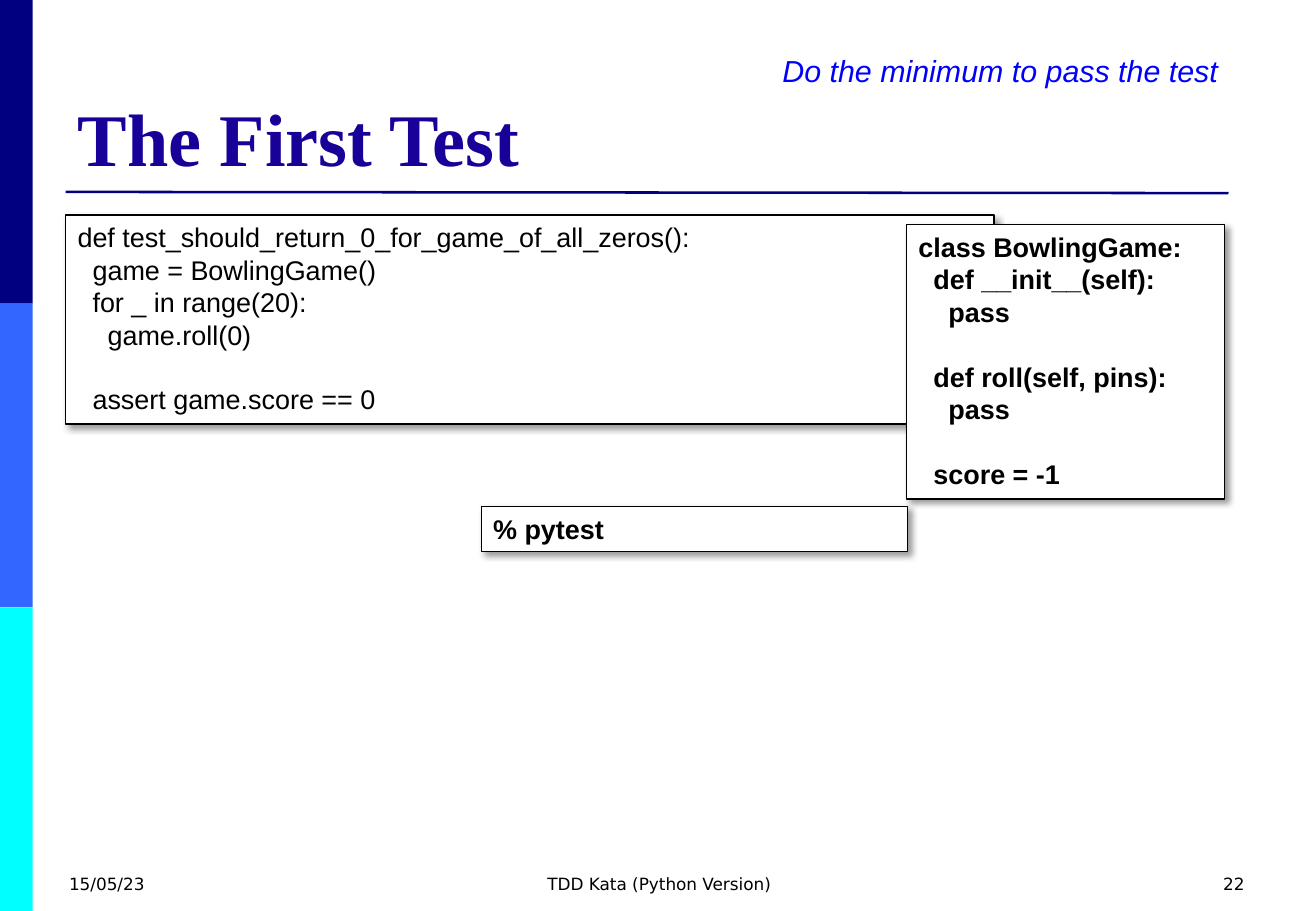
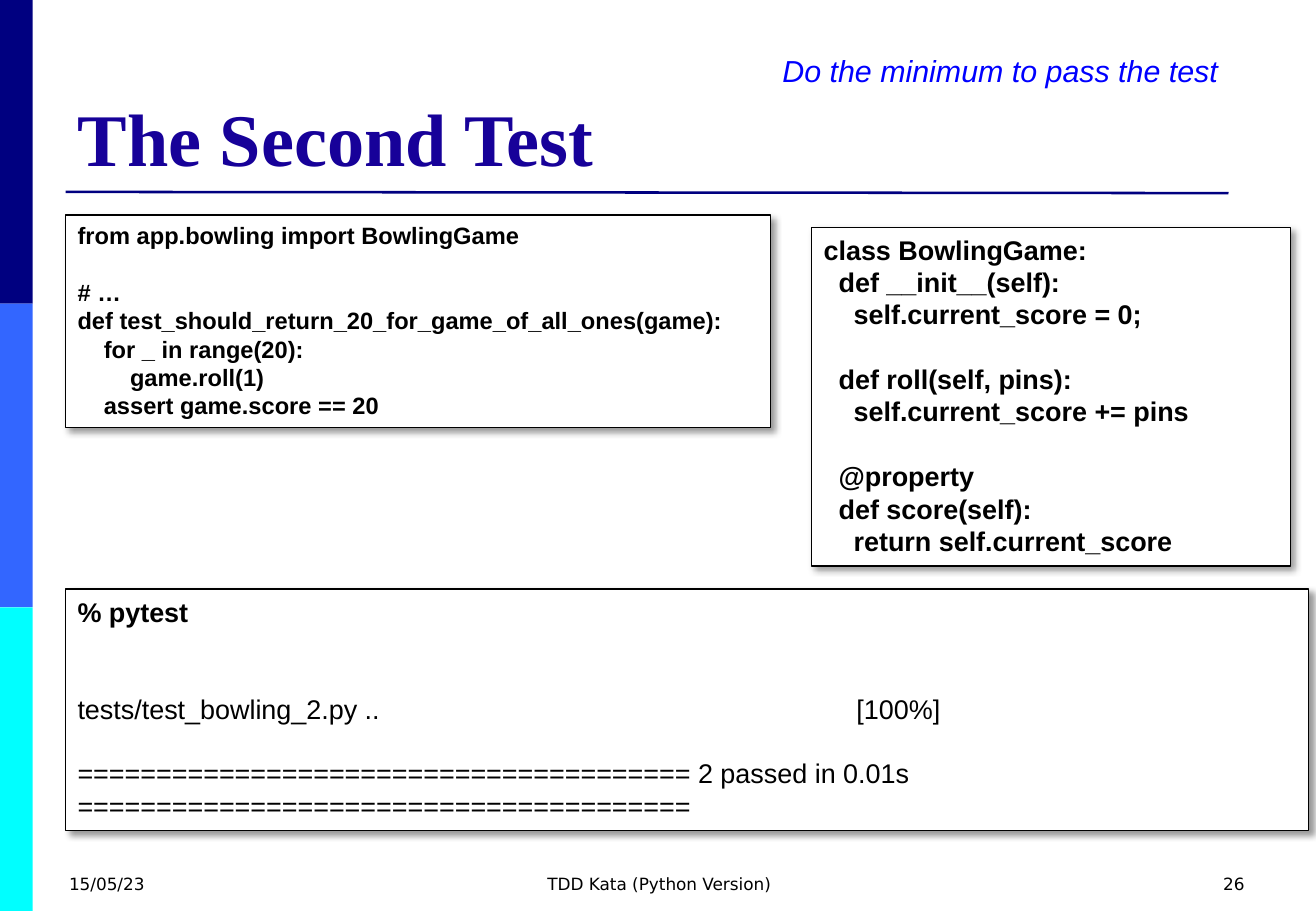
from lxml import etree
from pptx import Presentation
from pptx import util as u
from pptx.dml.color import RGBColor
from pptx.enum import shapes, text
from pptx.oxml.ns import qn

INK, NAVY, TITLE_BLUE, HINT_BLUE, WHITE = "000000", "000080", "170199", "0000FF", "FFFFFF"
BANDS = [NAVY, "3366FF", "00FFFF"]
BAND_WIDTH, BAND_HEIGHT = 0.27, 2.5
LEFT = 0.54
LINE_PITCH = 1.2     # line height as a multiple of the font size
SPACE_WIDTH = 0.278  # width of an Arial space as a multiple of the font size
RESULT_TAB = 6.41    # where the test progress stands in the console box
DATE, FOOTER = "15/05/23", "TDD Kata (Python Version)"
HINT = "Do the minimum to pass the test"
RULE = "=" * 39

# Each box: left, top, width, height, font size, bold, lines of code
SLIDES = [
    ("The First Test", "22", [
        (3.96, 4.17, 3.51, 0.37, 16, True, ["% pytest"]),
        (LEFT, 1.77, 7.64, 1.72, 16, False, [
            "def test_should_return_0_for_game_of_all_zeros():",
            "  game = BowlingGame()",
            "  for _ in range(20):",
            "    game.roll(0)",
            "",
            "  assert game.score == 0",
        ]),
        (7.46, 1.85, 2.62, 2.26, 16, True, [
            "class BowlingGame:",
            "  def __init__(self):",
            "    pass",
            "",
            "  def roll(self, pins):",
            "    pass",
            "",
            "  score = -1",
        ]),
    ]),
    ("The Second Test", "26", [
        (LEFT, 1.77, 5.8, 1.75, 14, True, [
            "from app.bowling import BowlingGame",
            "",
            "# …",
            "def test_should_return_20_for_game_of_all_ones(game):",
            "    for _ in range(20):",
            "        game.roll(1)",
            "    assert game.score == 20",
        ]),
        (6.68, 1.87, 3.94, 2.79, 16, True, [
            "class BowlingGame:",
            "  def __init__(self):",
            "    self.current_score = 0;",
            "",
            "  def roll(self, pins):",
            "    self.current_score += pins",
            "",
            "  @property",
            "  def score(self):",
            "    return self.current_score",
        ]),
        (LEFT, 4.85, 10.23, 1.99, 16, False, [
            "% pytest",
            "",
            "",
            "tests/test_bowling_2.py ..\t[100%]",
            "",
            f"{RULE} 2 passed in 0.01s {RULE}",
        ]),
    ]),
]


def rgb(color):
    return RGBColor.from_string(color)


def style(paragraph, size, font="Arial", color=INK, bold=False, italic=False,
          align=text.PP_ALIGN.LEFT):
    paragraph.alignment = align
    for run in paragraph.runs:
        run.font.name, run.font.size = font, u.Pt(size)
        run.font.bold, run.font.italic = bold, italic
        run.font.color.rgb = rgb(color)


prs = Presentation()
prs.slide_width, prs.slide_height = u.Inches(10.83), u.Inches(7.5)

for heading, number, boxes in SLIDES:
    slide = prs.slides.add_slide(prs.slide_layouts[5])

    # Side bands and the rule under the title
    for row, color in enumerate(BANDS):
        band = slide.shapes.add_shape(
            shapes.MSO_SHAPE.RECTANGLE, 0, u.Inches(row * BAND_HEIGHT),
            u.Inches(BAND_WIDTH), u.Inches(BAND_HEIGHT))
        band.shadow.inherit = False
        band.fill.solid()
        band.fill.fore_color.rgb = rgb(color)
        band.line.fill.background()
    rule = slide.shapes.add_connector(
        shapes.MSO_CONNECTOR.STRAIGHT,
        u.Inches(LEFT), u.Inches(1.58), u.Inches(10.11), u.Inches(1.59))
    rule.line.color.rgb, rule.line.width = rgb(NAVY), u.Pt(1.5)
    etree.SubElement(rule.element.spPr, qn("a:effectLst"))

    title = slide.shapes.title
    title.left, title.top = u.Inches(LEFT), u.Inches(0.3)
    title.width, title.height = u.Inches(9.75), u.Inches(1.24)
    title.text_frame.text = heading
    title.text_frame.auto_size = text.MSO_AUTO_SIZE.NONE
    title.text_frame.vertical_anchor = text.MSO_ANCHOR.BOTTOM
    style(title.text_frame.paragraphs[0], 44, "Times New Roman", TITLE_BLUE, bold=True)

    # Footer line
    for left, width, words, align in [
        (0.47, 2.53, DATE, text.PP_ALIGN.LEFT),
        (3.71, 3.43, FOOTER, text.PP_ALIGN.CENTER),
        (7.81, 2.53, number, text.PP_ALIGN.RIGHT),
    ]:
        footer = slide.shapes.add_textbox(
            u.Inches(left), u.Inches(7.14), u.Inches(width), u.Inches(0.36)).text_frame
        footer.word_wrap = True
        footer.text = words
        style(footer.paragraphs[0], 10, "DejaVu Sans", align=align)

    hint = slide.shapes.add_textbox(
        u.Inches(6.34), u.Inches(0.38), u.Inches(3.82), u.Inches(0.4)).text_frame
    hint.word_wrap = False
    hint.text = HINT
    hint.paragraphs[0].line_spacing = u.Pt(18 * LINE_PITCH)
    style(hint.paragraphs[0], 18, color=HINT_BLUE, italic=True)

    # Code and console boxes
    for left, top, width, height, size, bold, lines in boxes:
        box = slide.shapes.add_shape(
            shapes.MSO_SHAPE.RECTANGLE, u.Inches(left), u.Inches(top),
            u.Inches(width), u.Inches(height))
        box.fill.solid()
        box.fill.fore_color.rgb = rgb(WHITE)
        box.line.color.rgb, box.line.width = rgb(INK), u.Pt(0.75)
        box.shadow.inherit = False
        shadow = etree.SubElement(
            box.element.spPr.find(qn("a:effectLst")), qn("a:outerShdw"),
            blurRad=str(u.Pt(4)), dist=str(u.Pt(3)), dir="2700000",
            algn="tl", rotWithShape="0")
        shade = etree.SubElement(shadow, qn("a:srgbClr"), val=INK)
        etree.SubElement(shade, qn("a:alpha"), val="40000")

        frame = box.text_frame
        frame.word_wrap = True
        frame.vertical_anchor = text.MSO_ANCHOR.TOP

        # Leading spaces become indents, empty lines become space before
        pitch, gap = size * LINE_PITCH, 0
        for line in lines:
            if not line:
                gap += pitch
                continue
            first = line is lines[0]
            paragraph = frame.paragraphs[0] if first else frame.add_paragraph()
            code = line.lstrip(" ")
            paragraph.text = code
            paragraph.line_spacing = u.Pt(pitch)
            paragraph.space_before = u.Pt(gap)
            style(paragraph, size, bold=bold or code.startswith("%"))
            props = paragraph._p.get_or_add_pPr()
            props.set("marL", str(u.Pt((len(line) - len(code)) * SPACE_WIDTH * size)))
            if "\t" in code:
                tabs = etree.SubElement(props, qn("a:tabLst"))
                etree.SubElement(tabs, qn("a:tab"), pos=str(u.Inches(RESULT_TAB)), algn="l")
            gap = 0

prs.save("out.pptx")
